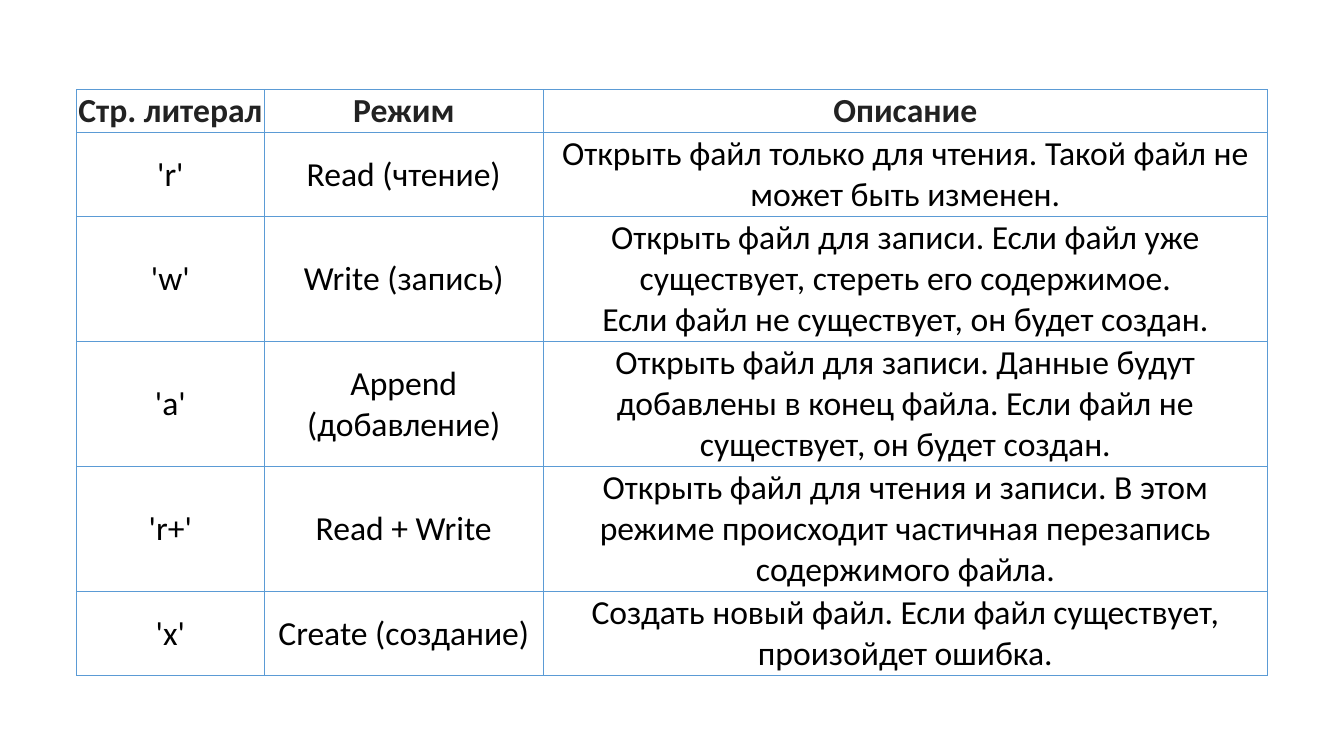
from pptx import Presentation
from pptx.dml.color import RGBColor
from pptx.enum.text import MSO_ANCHOR, PP_ALIGN
from pptx.oxml import parse_xml
from pptx.oxml.ns import nsdecls
from pptx.util import Inches, Pt

HUES = {"head": "222222", "body": "000000", "line": "5B9BD5"}
COLS = [1.86, 2.77, 7.18]
LINE = 0.41
PAD = 0.01
ROWS = [
    (1, "Стр. литерал", "Режим", "Описание"),
    (2, "'r'", "Read (чтение)",
     "Открыть файл только для чтения. Такой файл не может быть изменен."),
    (3, "'w'", "Write (запись)",
     "Открыть файл для записи. Если файл уже существует, стереть его содержимое.\n"
     "Если файл не существует, он будет создан."),
    (3, "'a'", "Append (добавление)",
     "Открыть файл для записи. Данные будут добавлены в конец файла. "
     "Если файл не существует, он будет создан."),
    (3, "'r+'", "Read + Write",
     "Открыть файл для чтения и записи. В этом режиме происходит "
     "частичная перезапись содержимого файла."),
    (2, "'x'", "Create (создание)",
     "Создать новый файл. Если файл существует, произойдет ошибка."),
]
CELL = {"vertical_anchor": MSO_ANCHOR.MIDDLE}
for side in ("left", "right", "top", "bottom"):
    CELL[f"margin_{side}"] = Inches(PAD)


def apply(item, style):
    for name, value in style.items():
        setattr(item, name, value)


def border(cell):
    props = cell._tc.get_or_add_tcPr()
    for place, side in enumerate("LRTB"):
        props.insert(place, parse_xml(
            f'<a:ln{side} {nsdecls("a")} w="{Pt(1)}"><a:solidFill>'
            f'<a:srgbClr val="{HUES["line"]}"/></a:solidFill></a:ln{side}>'))


deck = Presentation()
apply(deck, {"slide_width": Inches(13.33), "slide_height": Inches(7.5)})
slide = deck.slides.add_slide(deck.slide_layouts[6])
tall = [LINE * row[0] + PAD for row in ROWS]
frame = slide.shapes.add_table(
    len(ROWS), len(COLS), Inches(0.76), Inches(0.89),
    Inches(sum(COLS)), Inches(sum(tall)))
table = frame.table
apply(table, {"first_row": False, "horz_banding": False})
for col, width in zip(table.columns, COLS):
    col.width = Inches(width)

for r, (count, *texts) in enumerate(ROWS):
    table.rows[r].height = Inches(tall[r])
    hue = HUES["body" if r else "head"]
    font = {"name": "Calibri", "size": Pt(24), "bold": r == 0}
    for c, text in enumerate(texts):
        cell = table.cell(r, c)
        apply(cell, CELL)
        cell.fill.background()
        border(cell)
        para = cell.text_frame.paragraphs[0]
        para.text = text
        para.alignment = PP_ALIGN.CENTER
        for run in para.runs:
            apply(run.font, font)
            run.font.color.rgb = RGBColor.from_string(hue)

deck.save("out.pptx")
